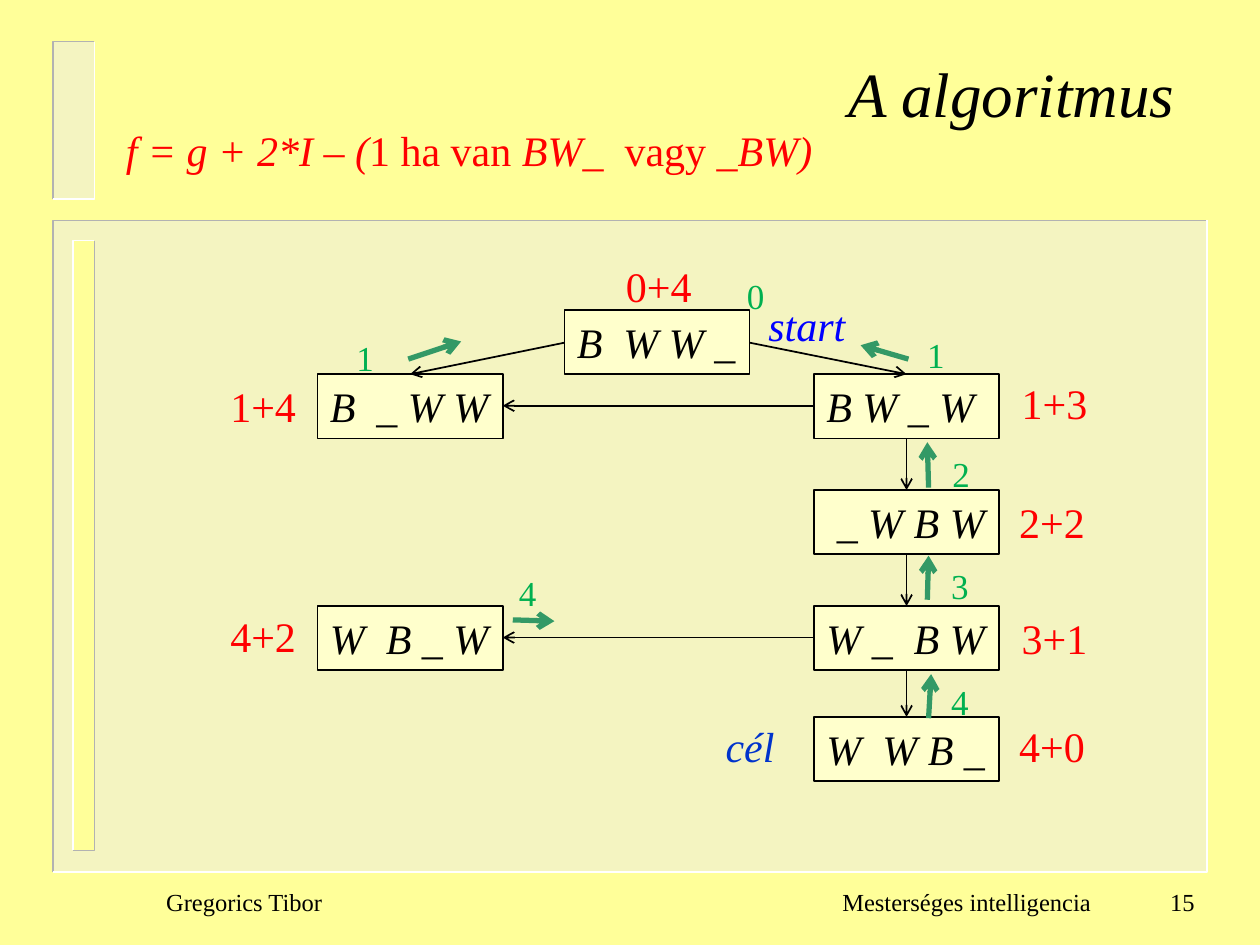
"""Draw the search graph of algorithm A with its evaluation values."""
from dataclasses import dataclass

from lxml.etree import SubElement as Sub
from pptx import Presentation as Deck
from pptx.dml.color import RGBColor as Rgb
from pptx.enum.shapes import MSO_CONNECTOR as Link, MSO_SHAPE as Form
from pptx.enum.text import MSO_ANCHOR as Anchor, MSO_AUTO_SIZE as Fit, PP_ALIGN as Align
from pptx.oxml.ns import qn
from pptx.util import Emu, Pt

COLS, ROWS = 10, 7.5
CELL = 914400


@dataclass(frozen=True)
class Theme:
    font: str = "Times New Roman"
    back: str = "FFFF99"
    panel: str = "EAEAEA"
    node: str = "FFFFCC"
    ink: str = "000000"
    dark: str = "B2B2B2"
    light: str = "FFFFFF"
    cost: str = "FF0000"
    step: str = "00B050"
    trail: str = "339966"
    start: str = "0000FF"
    goal: str = "0033CC"
    title: int = 36
    body: int = 24
    small: int = 20
    foot: int = 14


@dataclass(frozen=True)
class Box:
    x: float
    y: float
    w: float
    h: float

    def emu(self) -> list[Emu]:
        return [unit(v) for v in (self.x, self.y, self.w, self.h)]


@dataclass(frozen=True)
class Panel:
    box: Box
    fill: str
    alpha: int = 100


@dataclass(frozen=True)
class Label:
    text: str
    box: Box
    color: str
    size: int
    italic: bool = False
    align: Align = Align.LEFT
    anchor: Anchor = Anchor.TOP


@dataclass(frozen=True)
class Node:
    text: str
    x: float
    y: float


@dataclass(frozen=True)
class Arrow:
    a: tuple[float, float]
    b: tuple[float, float]
    color: str
    width: float


def unit(cells: float) -> Emu:
    return Emu(round(cells * CELL))


def paint(shape, fill: str, alpha: int = 100) -> None:
    shape.shadow.inherit = False
    shape.fill.solid()
    shape.fill.fore_color.rgb = Rgb.from_string(fill)
    if alpha < 100:
        tone = shape.fill._xPr.find(".//" + qn("a:srgbClr"))
        Sub(tone, qn("a:alpha")).set("val", str(alpha * 1000))


def stroke(line, color: str, width: float) -> None:
    line.color.rgb = Rgb.from_string(color)
    line.width = Pt(width)


def write(shape, runs: list[tuple[str, bool]], look: Label) -> None:
    frame = shape.text_frame
    form = {"word_wrap": False, "auto_size": Fit.NONE, "vertical_anchor": look.anchor}
    for key, val in form.items():
        setattr(frame, key, val)
    para = frame.paragraphs[0]
    para.alignment = look.align
    for text, slant in runs:
        run = para.add_run()
        run.text = text
        style = {"name": T.font, "size": Pt(look.size), "italic": slant}
        for key, val in style.items():
            setattr(run.font, key, val)
        run.font.color.rgb = Rgb.from_string(look.color)


def add_label(look: Label, runs: list[tuple[str, bool]] | None = None) -> None:
    shape = shapes.add_textbox(*look.box.emu())
    write(shape, runs or [(look.text, look.italic)], look)


def add_node(node: Node) -> None:
    box = Box(node.x, node.y, NODE_W, NODE_H)
    shape = shapes.add_shape(Form.RECTANGLE, *box.emu())
    paint(shape, T.node)
    stroke(shape.line, T.ink, 1)
    write(shape, [(node.text, True)], Label(node.text, box, T.ink, T.body))


def add_arrow(arrow: Arrow) -> None:
    line = shapes.add_connector(Link.STRAIGHT, *map(unit, arrow.a + arrow.b))
    stroke(line.line, arrow.color, arrow.width)
    Sub(line.line._get_or_add_ln(), qn("a:tailEnd")).set("type", "arrow")
    Sub(line._element.spPr, qn("a:effectLst"))


def add_panel(panel: Panel) -> None:
    shape = shapes.add_shape(Form.RECTANGLE, *panel.box.emu())
    paint(shape, panel.fill, panel.alpha)
    shape.line.fill.background()
    x, y, w, h = panel.box.emu()
    tones = (T.dark, T.light) if panel.alpha < 100 else (T.light, T.dark)
    for tone, corner in zip(tones, ((x, y), (x + w, y + h))):
        pen = shapes.build_freeform(x + w, y)
        pen.add_line_segments([corner, (x, y + h)], close=False)
        edge = pen.convert_to_shape()
        edge.shadow.inherit = False
        edge.fill.background()
        stroke(edge.line, tone, 1)


T = Theme()
NODE_W, NODE_H = 1.47, 0.51
LEFT, MID, RIGHT = 2.52, 4.48, 6.46
TOP, ONE, TWO, THREE, FOUR = 2.46, 2.97, 3.89, 4.81, 5.69
AXIS = RIGHT + NODE_W / 2

deck = Deck()
deck.slide_width, deck.slide_height = unit(COLS), unit(ROWS)
slide = deck.slides.add_slide(deck.slide_layouts[6])
slide.background.fill.solid()
slide.background.fill.fore_color.rgb = Rgb.from_string(T.back)
shapes = slide.shapes

for panel in (
    Panel(Box(0.42, 1.75, 9.16, 5.17), T.panel, 50),
    Panel(Box(0.58, 1.91, 0.17, 4.84), T.back),
    Panel(Box(0.42, 0.33, 0.33, 1.25), T.panel, 50),
):
    add_panel(panel)

for node in (
    Node("B  W W _", MID, TOP),
    Node("B  _ W W", LEFT, ONE),
    Node("B W _ W ", RIGHT, ONE),
    Node(" _ W B W", RIGHT, TWO),
    Node("W _  B W", RIGHT, THREE),
    Node("W  B _ W", LEFT, THREE),
    Node("W  W B _", RIGHT, FOUR),
):
    add_node(node)

edges = [((MID, 2.72), (LEFT + NODE_W / 2, ONE)), ((MID + NODE_W, 2.72), (AXIS, ONE))]
edges += [((AXIS, a + NODE_H), (AXIS, b)) for a, b in ((ONE, TWO), (TWO, THREE), (THREE, FOUR))]
edges += [((RIGHT, y + 0.25), (LEFT + NODE_W, y + 0.25)) for y in (ONE, THREE)]
trails = [
    ((3.24, 2.85), (3.66, 2.71)), ((7.21, 2.85), (6.83, 2.74)),
    ((7.37, 3.87), (7.36, 3.51)), ((7.36, 4.76), (7.37, 4.41)),
    ((7.37, 5.7), (7.39, 5.35)), ((4.07, 4.92), (4.4, 4.93)),
]
for pairs, color, width in ((edges, T.ink, 1), (trails, T.trail, 3)):
    for a, b in pairs:
        add_arrow(Arrow(a, b, color, width))

costs = [("0+4", 4.87, 2.02), ("1+4", 1.73, 2.97), ("1+3", 8.01, 2.95), ("2+2", 7.99, 3.89),
         ("4+2", 1.73, 4.8), ("3+1", 8.01, 4.81), ("4+0", 7.99, 5.67)]
steps = [("0", 5.83, 2.13), ("1", 2.73, 2.62), ("1", 7.26, 2.6), ("2", 7.46, 3.54),
         ("3", 7.45, 4.43), ("4", 4.02, 4.49), ("4", 7.45, 5.35)]
for group, w, h, color, size in (
    (costs, 0.73, 0.5, T.cost, T.body), (steps, 0.34, 0.44, T.step, T.small),
):
    for text, x, y in group:
        add_label(Label(text, Box(x, y, w, h), color, size))

for label in (
    Label("A algoritmus", Box(0.92, 0.38, 8.5, 1.21), T.ink, T.title, True, Align.RIGHT),
    Label("start", Box(6, 2.33, 0.82, 0.5), T.start, T.body, True),
    Label("cél", Box(5.66, 5.67, 0.59, 0.5), T.goal, T.body, True),
    Label("Gregorics Tibor", Box(1.22, 6.91, 2, 0.5), T.ink, T.foot, anchor=Anchor.MIDDLE),
    Label("Mesterséges intelligencia", Box(6.26, 6.91, 2.5, 0.5), T.ink, T.foot,
          align=Align.RIGHT, anchor=Anchor.MIDDLE),
    Label("15", Box(7.5, 6.91, 2.08, 0.5), T.ink, T.foot, align=Align.RIGHT, anchor=Anchor.MIDDLE),
):
    add_label(label)

add_label(
    Label("", Box(0.9, 0.94, 5.72, 0.5), T.cost, T.body),
    [("f = g + 2*I ‒ (", True), ("1 ha van ", False), ("BW_  ", True),
     ("vagy", False), (" _BW)", True)],
)
deck.save("out.pptx")
